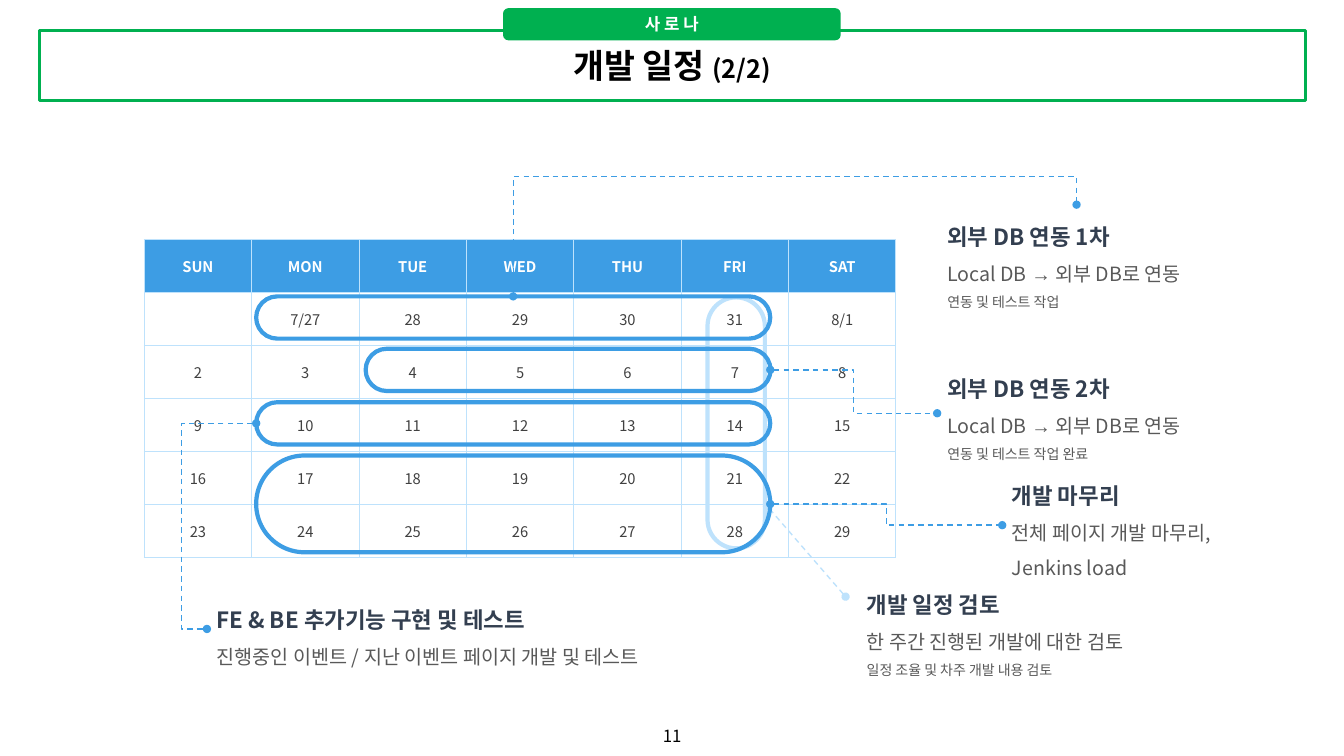
"""Build the monthly development schedule slide with its calendar and callouts."""
from dataclasses import dataclass
from math import cos, radians, sin
from typing import Any, NamedTuple

from lxml.etree import SubElement
from pptx import Presentation
from pptx.dml.color import RGBColor
from pptx.enum.dml import MSO_LINE
from pptx.enum.shapes import MSO_CONNECTOR, MSO_SHAPE
from pptx.enum.text import MSO_ANCHOR, MSO_AUTO_SIZE, PP_ALIGN
from pptx.oxml.ns import qn
from pptx.util import Pt

COLORS = {
    "white": "FFFFFF", "black": "000000", "green": "00B050", "blue": "3D9DE4",
    "pale": "BEE2FC", "navy": "333F50", "gray": "595959", "date": "404040",
}
KOREAN_FONT = "Noto Sans CJK KR"
ARROW = "→"
WEEKDAYS = ["SUN", "MON", "TUE", "WED", "THU", "FRI", "SAT"]
FIRST_WEEK = ["", "7/27", "28", "29", "30", "31", "8/1"]
LATER_WEEKS = [[str(day) for day in range(start, start + 7)] for start in (2, 9, 16, 23)]


class Box(NamedTuple):
    """Position and size in points."""
    left: float
    top: float
    width: float
    height: float


class Point(NamedTuple):
    """A place on the slide in points."""
    x: float
    y: float


class TextStyle(NamedTuple):
    """Look of a run of text."""
    size: float
    color: str
    bold: bool = False


@dataclass
class Link:
    """Dashed connector between a marked period and its callout."""
    begin: Point
    end: Point
    bend: float | None = 0.5
    rotation: int = 0


@dataclass
class Event:
    """Marked calendar period with its link and callout."""
    color: str
    period: Box
    link: Link
    callout: Box
    lines: list[str]


CALLOUT_STYLES = [TextStyle(16, "navy", True), TextStyle(14, "gray"), TextStyle(10, "gray")]
EVENTS = [
    Event("pale", Box(505.4, 212.4, 41, 179.3),
          Link(Point(604, 426.2), Point(547.9, 361.4), None),
          Box(612, 409, 249.8, 79.9),
          ["개발 일정 검토", "한 주간 진행된 개발에 대한 검토", "일정 조율 및 차주 개발 내용 검토"]),
    Event("blue", Box(183, 211.7, 367.2, 30.2),
          Link(Point(366.6, 211.7), Point(769, 146.2), 1.305, 90),
          Box(669.6, 146.2, 199.4, 79.9),
          ["외부 DB 연동 1차", "Local DB → 외부 DB로 연동", "연동 및 테스트 작업"]),
    Event("blue", Box(261.2, 249.1, 289.2, 30.2),
          Link(Point(550.2, 264.2), Point(669.4, 295.2)),
          Box(669.6, 254.9, 199.4, 79.9),
          ["외부 DB 연동 2차", "Local DB → 외부 DB로 연동", "연동 및 테스트 작업 완료"]),
    Event("blue", Box(183, 287.3, 367.2, 30.2),
          Link(Point(183, 302.4), Point(147.8, 449.3), 1.511, 180),
          Box(147.6, 419.8, 370, 59.8),
          ["FE & BE 추가기능 구현 및 테스트", "진행중인 이벤트 / 지난 이벤트 페이지 개발 및 테스트"]),
    Event("blue", Box(183, 325.4, 367.2, 69.1),
          Link(Point(550.2, 360), Point(715.9, 375.1)),
          Box(715.7, 331.2, 199.4, 87.1),
          ["개발 마무리", "전체 페이지 개발 마무리, Jenkins load"]),
]


def rgb(name: str) -> RGBColor:
    """Look up a named colour."""
    return RGBColor.from_string(COLORS[name])


def apply_format(target: Any, values: dict[str, Any]) -> None:
    """Set every attribute in a format dict."""
    for name, value in values.items():
        setattr(target, name, value)


def points(box: tuple[float, ...]) -> list[Pt]:
    """Convert numbers to lengths."""
    return [Pt(value) for value in box]


def add_run(paragraph: Any, text: str, style: TextStyle, font: str = KOREAN_FONT) -> None:
    """Add a styled run with one font for Latin and Korean text."""
    run = paragraph.add_run()
    run.text = text
    apply_format(run.font, {"size": Pt(style.size), "bold": style.bold, "name": font})
    run.font.color.rgb = rgb(style.color)
    SubElement(run._r.get_or_add_rPr(), qn("a:ea"), typeface=font)


def center_text(frame: Any, runs: list[tuple[str, TextStyle]], wrap: bool = True) -> None:
    """Write runs into the middle of a text frame."""
    apply_format(frame, {"word_wrap": wrap, "vertical_anchor": MSO_ANCHOR.MIDDLE,
                         "auto_size": MSO_AUTO_SIZE.NONE})
    paragraph = frame.paragraphs[0]
    paragraph.alignment = PP_ALIGN.CENTER
    for text, style in runs:
        add_run(paragraph, text, style)


def add_title(slide: Any) -> None:
    """Format the title placeholder and add the team tab above it."""
    title = slide.shapes.title
    apply_format(title, dict(zip(("left", "top", "width", "height"), points(Box(28, 21.6, 904.3, 50.4)))))
    title.fill.solid()
    title.fill.fore_color.rgb = rgb("white")
    title.line.color.rgb = rgb("green")
    title.line.width = Pt(2.25)
    center_text(title.text_frame, [("개발 일정 ", TextStyle(24, "black", True)),
                                   ("(2/2)", TextStyle(18, "black", True))])
    tab = slide.shapes.add_shape(MSO_SHAPE.ROUNDED_RECTANGLE, *points(Box(359.3, 5.8, 241.2, 23)))
    tab.shadow.inherit = False
    tab.fill.solid()
    tab.fill.fore_color.rgb = rgb("green")
    tab.line.fill.background()
    center_text(tab.text_frame, [("사 로 나", TextStyle(12, "white", True))], wrap=False)


def format_cell(cell: Any, text: str, fill: str, style: TextStyle) -> None:
    """Fill, border and write one calendar cell."""
    cell.fill.solid()
    cell.fill.fore_color.rgb = rgb(fill)
    cell.vertical_anchor = MSO_ANCHOR.MIDDLE
    paragraph = cell.text_frame.paragraphs[0]
    paragraph.alignment = PP_ALIGN.CENTER
    if text:
        add_run(paragraph, text, style)
    properties = cell._tc.get_or_add_tcPr()
    for index, side in enumerate(("lnL", "lnR", "lnT", "lnB")):
        border = SubElement(properties, qn(f"a:{side}"), w=str(Pt(0.75)))
        solid = SubElement(border, qn("a:solidFill"))
        SubElement(solid, qn("a:srgbClr"), val=COLORS["pale"])
        properties.insert(index, border)


def add_calendar(slide: Any) -> None:
    """Draw the weekday header and five weeks."""
    weeks = [WEEKDAYS, FIRST_WEEK, *LATER_WEEKS]
    frame = slide.shapes.add_table(len(weeks), len(WEEKDAYS), *points(Box(103, 171.2, 537.1, 226.8)))
    frame.table.horz_banding = False
    for row, week in enumerate(weeks):
        fill, style = (("white", TextStyle(10.5, "date")) if row
                       else ("blue", TextStyle(10.5, "white", True)))
        for column, text in enumerate(week):
            format_cell(frame.table.cell(row, column), text, fill, style)


def turn_back(point: Point, center: Point, degrees: int) -> Point:
    """Undo a clockwise rotation about a center."""
    angle = radians(degrees)
    x, y = point.x - center.x, point.y - center.y
    return Point(center.x + x * cos(angle) + y * sin(angle),
                 center.y - x * sin(angle) + y * cos(angle))


def add_link(slide: Any, link: Link, color: str) -> None:
    """Draw a dashed connector with round ends."""
    center = Point((link.begin.x + link.end.x) / 2, (link.begin.y + link.end.y) / 2)
    ends = [turn_back(point, center, link.rotation) for point in (link.begin, link.end)]
    kind = MSO_CONNECTOR.STRAIGHT if link.bend is None else MSO_CONNECTOR.ELBOW
    connector = slide.shapes.add_connector(kind, *points(ends[0] + ends[1]))
    connector.line.color.rgb = rgb(color)
    apply_format(connector.line, {"width": Pt(1), "dash_style": MSO_LINE.DASH})
    properties = connector._element.spPr
    for name in ("headEnd", "tailEnd"):
        SubElement(properties.find(qn("a:ln")), qn(f"a:{name}"), type="oval")
    SubElement(properties, qn("a:effectLst"))
    if link.bend is not None:
        properties.find(qn("a:xfrm")).set("rot", str(link.rotation * 60000))
        guides = properties.find(qn("a:prstGeom")).find(qn("a:avLst"))
        SubElement(guides, qn("a:gd"), name="adj1", fmla=f"val {round(link.bend * 100000)}")


def add_event(slide: Any, event: Event) -> None:
    """Draw a period outline, its link and its callout."""
    outline = slide.shapes.add_shape(MSO_SHAPE.ROUNDED_RECTANGLE, *points(event.period))
    outline.adjustments[0] = 0.5
    outline.shadow.inherit = False
    outline.fill.background()
    outline.line.color.rgb = rgb(event.color)
    outline.line.width = Pt(3)
    add_link(slide, event.link, event.color)
    frame = slide.shapes.add_textbox(*points(event.callout)).text_frame
    frame.word_wrap = True
    for index, (line, style) in enumerate(zip(event.lines, CALLOUT_STYLES)):
        paragraph = frame.add_paragraph() if index else frame.paragraphs[0]
        paragraph.line_spacing = 1.5
        for piece in filter(None, line.partition(ARROW)):
            add_run(paragraph, piece, style, "Arial" if piece == ARROW else KOREAN_FONT)


def main() -> None:
    """Create and save the presentation."""
    presentation = Presentation()
    apply_format(presentation, {"slide_width": Pt(960), "slide_height": Pt(540)})
    slide = presentation.slides.add_slide(presentation.slide_layouts[5])
    add_title(slide)
    page_number = slide.shapes.add_textbox(*points(Box(372.2, 511.2, 216, 28.8)))
    center_text(page_number.text_frame, [("11", TextStyle(12, "black"))])
    add_calendar(slide)
    for event in EVENTS:
        add_event(slide, event)
    presentation.save("out.pptx")


if __name__ == "__main__":
    main()
